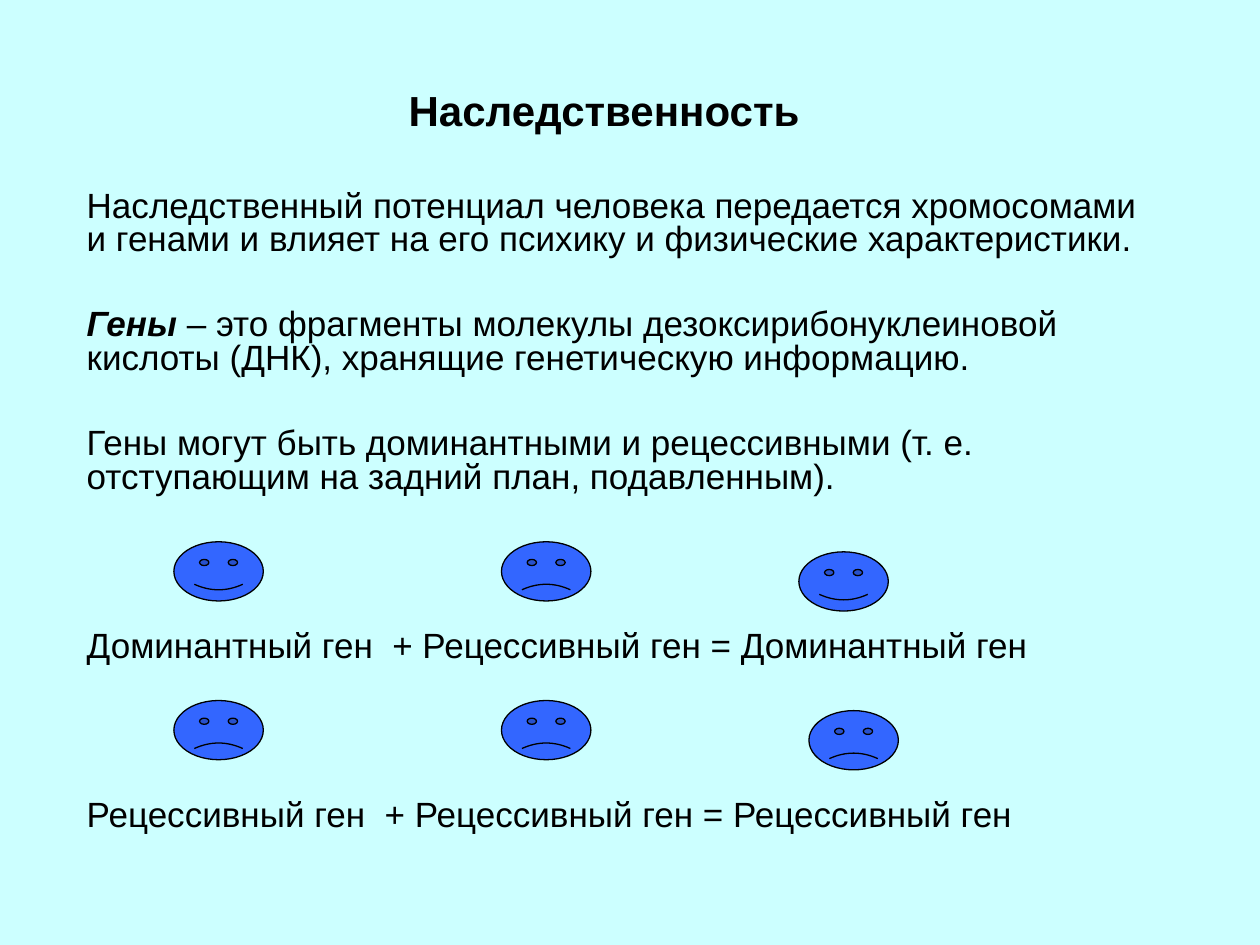
import pptx
import pptx.util
import pptx.dml.color
import pptx.enum.shapes
import pptx.enum.text
from pptx.util import Inches

INK = "000000"
BLUE = "3366FF"
PAPER = "CCFFFF"
SMILE, FROWN = 0.093, -0.047


def color(code):
    return pptx.dml.color.RGBColor.from_string(code)


class Page:
    """Holds the text style and the slide being built."""

    font = "Arial"

    def __init__(self, deck):
        self.slide = deck.slides.add_slide(deck.slide_layouts[6])
        fill = self.slide.background.fill
        fill.solid()
        fill.fore_color.rgb = color(PAPER)

    def frame(self, left, top, width, height, inset):
        box = self.slide.shapes.add_textbox(
            Inches(left), Inches(top), Inches(width), Inches(height))
        frame = box.text_frame
        frame.word_wrap = True
        frame.margin_top = Inches(inset)
        return frame

    def style(self, run, size, bold=False, italic=False):
        run.font.name = self.font
        run.font.size = pptx.util.Pt(size)
        run.font.bold = bold
        run.font.italic = italic
        run.font.color.rgb = color(INK)

    def title(self, text):
        frame = self.frame(0.59, 0.6, 8.5, 0.94, 0.07)
        frame.margin_right = Inches(0.19)
        frame.text = text
        para = frame.paragraphs[0]
        para.alignment = pptx.enum.text.PP_ALIGN.CENTER
        self.style(para.runs[0], 24, bold=True)

    def body(self, items):
        """Write (space before, key term, text) items as paragraphs."""
        frame = self.frame(0.59, 1.47, 8.74, 5.43, 0.05)
        for index, (gap, term, text) in enumerate(items):
            para = frame.add_paragraph() if index else frame.paragraphs[0]
            para.line_spacing = 0.8
            para.space_before = pptx.util.Pt(gap)
            if term:
                para.text = term
                self.style(para.runs[0], 20, bold=True, italic=True)
            run = para.add_run()
            run.text = text
            self.style(run, 20)

    def face(self, left, top, mood):
        face = self.slide.shapes.add_shape(
            pptx.enum.shapes.MSO_SHAPE.SMILEY_FACE,
            Inches(left), Inches(top), Inches(0.71), Inches(0.47))
        face.adjustments[0] = mood
        face.shadow.inherit = False
        face.fill.solid()
        face.fill.fore_color.rgb = color(BLUE)
        face.line.color.rgb = color(INK)
        face.line.width = pptx.util.Pt(0.75)


def main():
    deck = pptx.Presentation()
    deck.slide_width = Inches(10)
    deck.slide_height = Inches(7.5)
    page = Page(deck)
    page.title("Наследственность")
    page.body([
        (0, "", "Наследственный потенциал человека передается хромосомами "
                "и генами и влияет на его психику и физические характеристики."),
        (29.4, "Гены", " – это фрагменты молекулы дезоксирибонуклеиновой "
                       "кислоты (ДНК), хранящие генетическую информацию."),
        (29.4, "", "Гены могут быть доминантными и рецессивными (т. е. "
                   "отступающим на задний план, подавленным)."),
        (77.4, "", "Доминантный ген  + Рецессивный ген = Доминантный ген"),
        (77.4, "", "Рецессивный ген  + Рецессивный ген = Рецессивный ген"),
    ])
    rows = [
        (4.3, 6.34, (SMILE, FROWN, SMILE)),
        (5.56, 6.42, (FROWN, FROWN, FROWN)),
    ]
    for top, last, moods in rows:
        spots = [(1.38, top), (3.98, top), (last, top + 0.08)]
        for (left, high), mood in zip(spots, moods):
            page.face(left, high, mood)
    deck.save("out.pptx")


if __name__ == "__main__":
    main()
